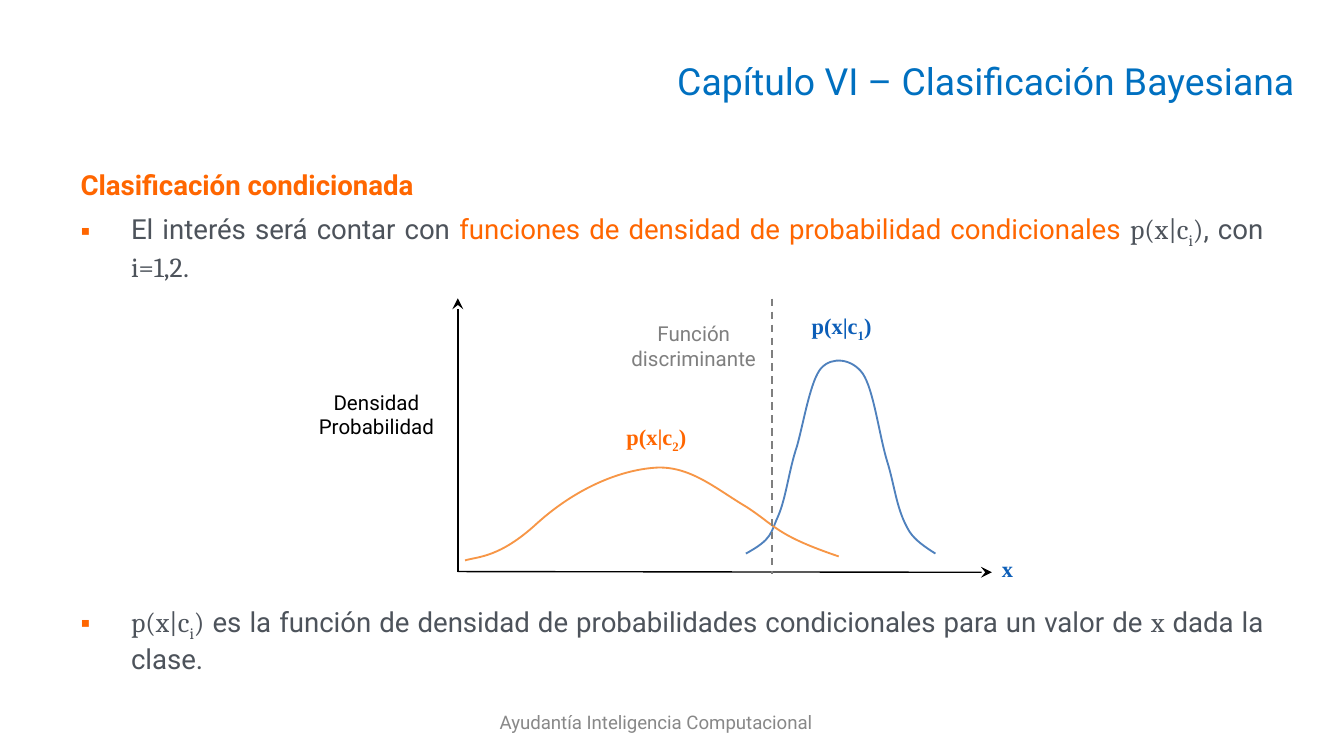
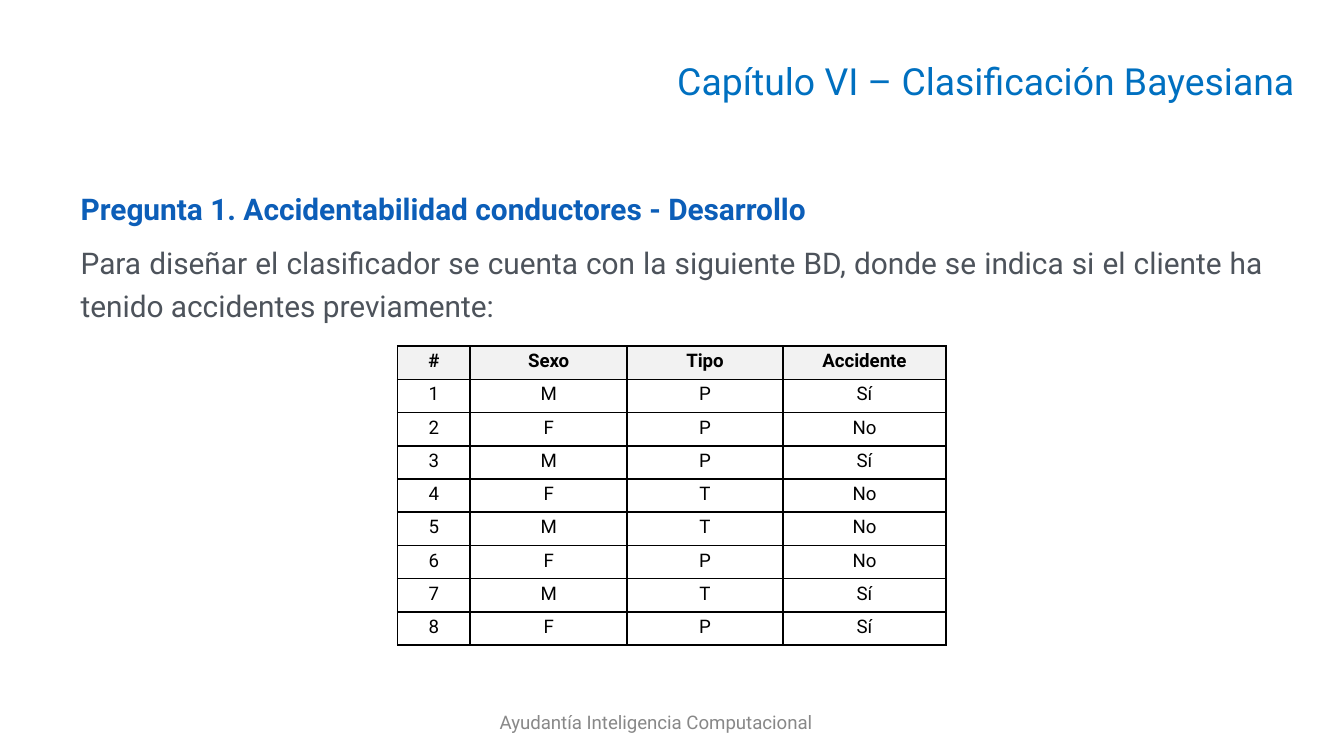
from lxml import etree
from pptx import Presentation
from pptx.dml.color import RGBColor
from pptx.enum import dml, shapes, text
from pptx.oxml import ns
from pptx.util import Pt

BLUE, ORANGE, GREY, BLACK = "0C5EB8", "FF6600", "4D535B", "000000"
TITLE_BLUE, FOOTER_GREY, MID_GREY = "0070C0", "888888", "7F7F7F"
CURVE_BLUE, CURVE_ORANGE, HEADER_FILL = "4F81BD", "F79646", "F2F2F2"
SANS, MATH, SERIF = "Roboto", "Cambria", "Times New Roman"
LEFT, CENTER = text.PP_ALIGN.LEFT, text.PP_ALIGN.CENTER
RIGHT, JUSTIFY = text.PP_ALIGN.RIGHT, text.PP_ALIGN.JUSTIFY
TITLE = "Capítulo VI – Clasificación Bayesiana"
FOOTER = "Ayudantía Inteligencia Computacional"

# Each curve is a start point followed by three points per Bézier segment
CLASS_1 = [(399.6, 296.6),
           (414, 288.7), (412.6, 285.8), (416.9, 276.5),
           (421.2, 266.4), (422.6, 252), (427, 239),
           (430.6, 226.1), (434.2, 203.8), (439.9, 197.3),
           (445.7, 190.8), (456.5, 192.2), (462.2, 200.2),
           (468, 208.8), (470.9, 232.6), (475.2, 247),
           (479.5, 260.6), (480.2, 273.6), (487.4, 285.1),
           (490.3, 289.4), (495.4, 293), (501.1, 296.6)]
CLASS_2 = [(249.1, 300.2),
           (256.3, 298.1), (267.8, 298.8), (288, 280.1),
           (308.9, 261.4), (331.9, 252), (350.6, 250.6),
           (369.4, 249.1), (383.8, 262.1), (399.6, 271.4),
           (415.4, 281.5), (415.4, 286.6), (449.3, 298.1)]

COLUMNS = [("#", 38.9), ("Sexo", 84.1), ("Tipo", 83.4), ("Accidente", 87.5)]
DRIVERS = ["M P Sí", "F P No", "M P Sí", "F T No",
           "M T No", "F P No", "M T Sí", "F P Sí"]


def rgb(color):
    return RGBColor.from_string(color)


def sub(parent, tag, **attrs):
    return etree.SubElement(parent, ns.qn(tag), attrs)


def place(sp, left, top, width, height):
    sp.left, sp.top, sp.width, sp.height = map(Pt, (left, top, width, height))


def style(r, size, color, font=SANS, bold=False, subscript=False):
    r.font.size, r.font.name, r.font.bold = Pt(size), font, bold
    r.font.color.rgb = rgb(color)
    if subscript:
        r.font._element.set("baseline", "-25000")


def setup_frame(sp, anchor=text.MSO_ANCHOR.TOP):
    tf = sp.text_frame
    tf.word_wrap = True
    tf.auto_size = text.MSO_AUTO_SIZE.NONE
    tf.vertical_anchor = anchor
    return tf


def add_runs(p, runs, size, align, bold=False):
    """Each run is (text, color, font) or (text, color, font, subscript)."""
    p.alignment = align
    for words, color, font, *subscript in runs:
        r = p.add_run()
        r.text = words
        style(r, size, color, font, bold, bool(subscript))


def density(index, color, font):
    return [("p(x|c", color, font), (index, color, font, True), (")", color, font)]


def space(p, before=0, line=1.0):
    p.space_before, p.space_after, p.line_spacing = Pt(before), Pt(0), line


def set_bullet(p, char=None):
    pPr = p._p.get_or_add_pPr()
    indent = Pt(27) if char else 0
    pPr.set("marL", str(indent))
    pPr.set("indent", str(-indent))
    if char:
        sub(sub(pPr, "a:buClr"), "a:srgbClr", val=ORANGE)
        sub(pPr, "a:buChar", char=char)
    else:
        sub(pPr, "a:buNone")


def add_body(slide, box, size, paragraphs, line=1.0):
    """Each paragraph is (runs, bold, space before, bullet)."""
    sp = slide.placeholders[1]
    place(sp, *box)
    tf = setup_frame(sp)
    for i, (runs, bold, before, bullet) in enumerate(paragraphs):
        p = tf.add_paragraph() if i else tf.paragraphs[0]
        add_runs(p, runs, size, JUSTIFY, bold)
        space(p, before, line)
        set_bullet(p, bullet)


def add_label(slide, box, lines, size, align=CENTER, bold=False,
              anchor=text.MSO_ANCHOR.TOP):
    sp = slide.shapes.add_textbox(*map(Pt, box))
    tf = setup_frame(sp, anchor)
    for i, runs in enumerate(lines):
        p = tf.add_paragraph() if i else tf.paragraphs[0]
        add_runs(p, runs, size, align, bold)


def add_line(slide, start, end, color, width, arrow=False, dashed=False):
    cx = slide.shapes.add_connector(shapes.MSO_CONNECTOR.STRAIGHT,
                                    *map(Pt, start + end))
    cx.line.color.rgb, cx.line.width = rgb(color), Pt(width)
    if dashed:
        cx.line.dash_style = dml.MSO_LINE.DASH
    if arrow:
        sub(cx.line._get_or_add_ln(), "a:tailEnd", type="stealth")
    sub(cx._element.spPr, "a:effectLst")


def add_curve(slide, points, color):
    start, *rest = [(Pt(x), Pt(y)) for x, y in points]
    builder = slide.shapes.build_freeform(*start)
    builder.add_line_segments(rest, close=False)
    sp = builder.convert_to_shape()
    # Join every three points into one cubic segment
    legs = sp._element.findall(".//" + ns.qn("a:lnTo"))
    outline = legs[0].getparent()
    for i in range(0, len(legs), 3):
        cubic = sub(outline, "a:cubicBezTo")
        for leg in legs[i:i + 3]:
            cubic.append(leg[0])
            outline.remove(leg)
    sp.shadow.inherit = False
    sp.fill.background()
    sp.line.color.rgb, sp.line.width = rgb(color), Pt(1)


def set_cell(cell, words, header):
    cell.margin_left = cell.margin_right = Pt(5)
    cell.margin_top = cell.margin_bottom = 0
    cell.text = words
    p = cell.text_frame.paragraphs[0]
    p.alignment = CENTER
    space(p, line=1.2)
    style(p.runs[0], 10, BLACK, bold=header)
    tcPr = cell._tc.get_or_add_tcPr()
    for side in ("L", "R", "T", "B"):
        ln = sub(tcPr, f"a:ln{side}", w=str(Pt(1)))
        sub(sub(ln, "a:solidFill"), "a:srgbClr", val=BLACK)
    if header:
        cell.fill.solid()
        cell.fill.fore_color.rgb = rgb(HEADER_FILL)
    else:
        cell.fill.background()


def add_data_table(slide, left, top, row_height, columns, rows):
    height = row_height * (len(rows) + 1)
    width = sum(w for _, w in columns)
    table = slide.shapes.add_table(len(rows) + 1, len(columns),
                                   *map(Pt, (left, top, width, height))).table
    table.first_row = table.horz_banding = False
    for column, (_, w) in zip(table.columns, columns):
        column.width = Pt(w)
    for i, values in enumerate([[name for name, _ in columns]] + rows):
        table.rows[i].height = Pt(row_height)
        for j, words in enumerate(values):
            set_cell(table.cell(i, j), words, header=i == 0)


def add_slide(prs):
    """New slide with the shared title and footer."""
    slide = prs.slides.add_slide(prs.slide_layouts[1])
    title = slide.shapes.title
    place(title, 150.2, 20.9, 550.8, 44.6)
    tf = setup_frame(title, text.MSO_ANCHOR.MIDDLE)
    tf.text = TITLE
    p = tf.paragraphs[0]
    p.alignment = RIGHT
    style(p.runs[0], 20, TITLE_BLUE)
    add_label(slide, (147.3, 373, 408.2, 28), [[(FOOTER, FOOTER_GREY, SANS)]],
              10, anchor=text.MSO_ANCHOR.MIDDLE)
    return slide


def add_density_slide(prs):
    slide = add_slide(prs)
    add_body(slide, (36, 86.4, 648, 286.6), 14.8, [
        ([("Clasificación condicionada", ORANGE, SANS)], True, 0, None),
        ([("El interés será contar con ", GREY, SANS),
          ("funciones de densidad de probabilidad condicionales ", ORANGE, SANS),
          *density("i", GREY, MATH), (", con ", GREY, SANS),
          ("i=1,2", GREY, MATH), (".", GREY, SANS)], False, 6, "▪"),
        # The wide gap leaves room for the diagram
        ([*density("i", GREY, MATH),
          (" es la función de densidad de probabilidades condicionales"
           " para un valor de ", GREY, SANS),
          ("x", GREY, MATH), (" dada la clase.", GREY, SANS)], False, 172.2, "▪"),
    ])

    # Axes and curves
    add_line(slide, (245.3, 306.5), (245.3, 159.8), BLACK, 0.75, arrow=True)
    add_line(slide, (245.3, 306.2), (531.4, 306.6), BLACK, 0.75, arrow=True)
    add_curve(slide, CLASS_1, CURVE_BLUE)
    add_curve(slide, CLASS_2, CURVE_ORANGE)

    # Labels and the discriminant line
    add_label(slide, (529.7, 293.8, 23.8, 24.5), [[("x", BLUE, SERIF)]],
              12, LEFT, bold=True)
    add_label(slide, (325.4, 223.2, 52.6, 29.5),
              [density("2", ORANGE, SERIF)], 12, bold=True)
    add_label(slide, (424.6, 163.7, 52.6, 29.5),
              [density("1", BLUE, SERIF)], 12, bold=True)
    add_label(slide, (150.2, 205.2, 103, 41),
              [[("Densidad", BLACK, SANS)], [("Probabilidad", BLACK, SANS)]], 11)
    add_line(slide, (413.8, 160), (413.8, 307.4), MID_GREY, 1, dashed=True)
    add_label(slide, (320.2, 168.5, 103, 41),
              [[("Función discriminante", MID_GREY, SANS)]], 11)


def add_drivers_slide(prs):
    slide = add_slide(prs)
    add_body(slide, (36, 94.7, 648, 267.1), 16, [
        ([("Pregunta 1. Accidentabilidad conductores - Desarrollo", BLUE, SANS)],
         True, 0, None),
        ([("Para diseñar el clasificador se cuenta con la siguiente BD, donde se "
           "indica si el cliente ha tenido accidentes previamente:", GREY, SANS)],
         False, 6, None),
    ], line=1.2)
    rows = [[str(n), *values.split()] for n, values in enumerate(DRIVERS, 1)]
    add_data_table(slide, 213, 185.4, 17.82, COLUMNS, rows)


def main():
    prs = Presentation()
    prs.slide_width, prs.slide_height = Pt(720), Pt(405)
    add_density_slide(prs)
    add_drivers_slide(prs)
    prs.save("out.pptx")


if __name__ == "__main__":
    main()
